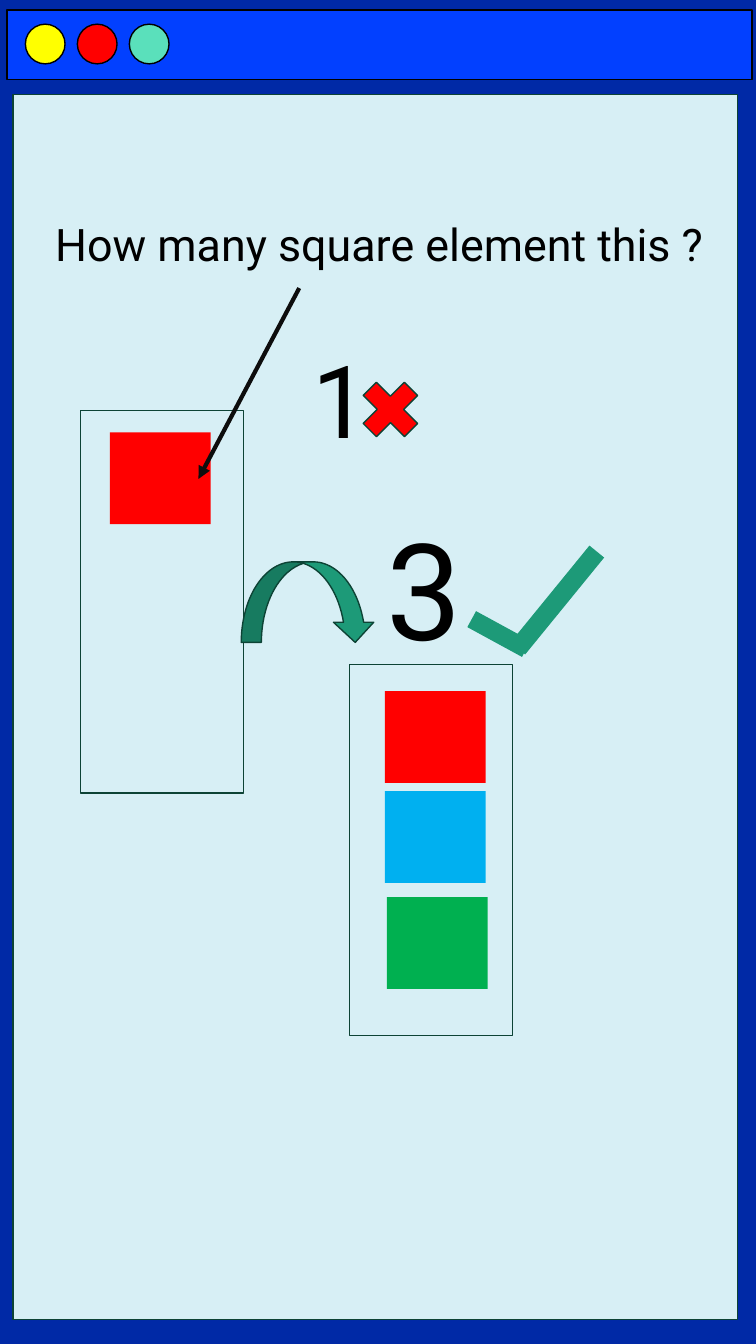
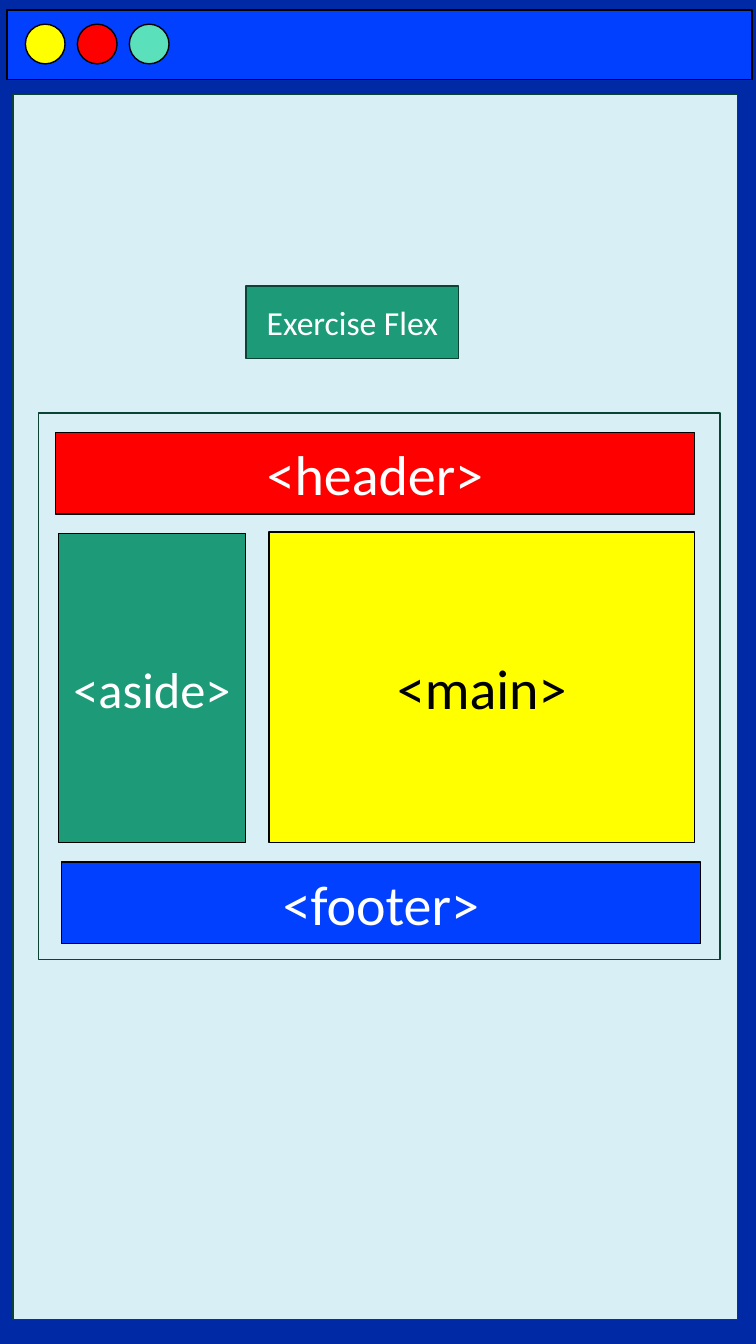
import pptx
import pptx.util
import pptx.dml.color
import pptx.enum.shapes
import pptx.enum.text
import pptx.oxml
import pptx.oxml.ns

Cm = pptx.util.Cm
Pt = pptx.util.Pt
KIND = pptx.enum.shapes.MSO_SHAPE
RED, YELLOW, BLUE, GREEN = "FF0000", "FFFF00", "0240FF", "1D9A78"
BLACK, WHITE, EDGE = "000000", "FFFFFF", "0D4335"


def tint(code):
    return pptx.dml.color.RGBColor.from_string(code)


class Deck:
    back, panel, mint = "0029A6", "D7EFF5", "5AE0BB"

    def __init__(self):
        self.file = pptx.Presentation()
        self.file.slide_width = Cm(19.05)
        self.file.slide_height = Cm(33.87)
        self.slide = None

    def page(self):
        self.slide = self.file.slides.add_slide(self.file.slide_layouts[6])
        fill = self.slide.background.fill
        fill.solid()
        fill.fore_color.rgb = tint(self.back)
        self.shape(0.18, 0.25, 18.77, 1.75, BLUE, BLACK)
        for i, fill in enumerate((YELLOW, RED, self.mint)):
            self.shape(0.64 + 1.31 * i, 0.61, 1, 1, fill, BLACK, KIND.OVAL)
        self.shape(0.33, 2.39, 18.26, 30.86, self.panel, EDGE)

    def shape(self, x, y, w, h, fill=None, line=None, kind=KIND.RECTANGLE, turn=0):
        item = self.slide.shapes.add_shape(kind, Cm(x), Cm(y), Cm(w), Cm(h))
        item.shadow.inherit = False
        item.rotation = turn
        if fill:
            item.fill.solid()
            item.fill.fore_color.rgb = tint(fill)
        else:
            item.fill.background()
        if line:
            item.line.color.rgb = tint(line)
            item.line.width = Pt(1)
        else:
            item.line.fill.background()
        return item

    def letter(self, item, text, size, color, font, center=True):
        frame = item.text_frame
        frame.text = text
        frame.word_wrap = True
        frame.vertical_anchor = pptx.enum.text.MSO_ANCHOR.MIDDLE
        align = pptx.enum.text.PP_ALIGN
        for para in frame.paragraphs:
            para.alignment = align.CENTER if center else align.LEFT
            for run in para.runs:
                run.font.size = Pt(size)
                run.font.name = font
                run.font.color.rgb = tint(color)

    def label(self, x, y, w, h, text, size, center=True):
        item = self.slide.shapes.add_textbox(Cm(x), Cm(y), Cm(w), Cm(h))
        self.letter(item, text, size, BLACK, "Roboto", center)

    def block(self, x, y, w, h, text, fill, size=40, color=WHITE, line=BLACK):
        item = self.shape(x, y, w, h, fill, line)
        self.letter(item, text, size, color, "Calibri")

    def arrow(self, x1, y1, x2, y2, color, width):
        item = self.slide.shapes.add_connector(
            pptx.enum.shapes.MSO_CONNECTOR.STRAIGHT, Cm(x1), Cm(y1), Cm(x2), Cm(y2))
        item.line.color.rgb = tint(color)
        item.line.width = Pt(width)
        space = pptx.oxml.ns.nsdecls("a")
        head = pptx.oxml.parse_xml(f'<a:tailEnd {space} type="triangle"/>')
        props = item._element.spPr
        props.find(pptx.oxml.ns.qn("a:ln")).append(head)
        props.append(pptx.oxml.parse_xml(f"<a:effectLst {space}/>"))


def count(deck):
    deck.page()
    square = (2.54, 2.31)
    deck.shape(2.03, 10.34, 4.11, 9.65, line=EDGE)
    deck.shape(2.77, 10.9, *square, RED)
    deck.label(1.14, 5.34, 17.4, 1.6, "How many square element this ?", 32, False)
    deck.arrow(7.54, 7.26, 5, 12.07, "0D0D0D", 3)
    deck.shape(8.81, 16.74, 4.11, 9.35, line=EDGE)
    for x, y, fill in ((9.7, 17.42, RED), (9.7, 19.94, "00B0F0"), (9.75, 22.61, "00B050")):
        deck.shape(x, y, *square, fill)
    deck.shape(6.08, 14.16, 3.38, 2.03, GREEN, EDGE, KIND.CURVED_DOWN_ARROW)
    deck.label(7.62, 8.76, 1.32, 2.54, "1", 72)
    deck.shape(8.84, 9.32, 2, 2, RED, EDGE, KIND.MATH_MULTIPLY)
    deck.shape(11.79, 15.75, 1.57, 0.46, GREEN, turn=28.6)
    deck.shape(12.47, 14.88, 3.15, 0.48, GREEN, turn=309.2)
    deck.label(9.45, 13.13, 2.46, 3.33, "3", 96)


def flex(deck):
    deck.page()
    deck.shape(0.97, 10.41, 17.17, 13.77, line=EDGE)
    deck.block(1.4, 10.9, 16.1, 2.06, "<header>", RED)
    deck.block(1.55, 21.72, 16.1, 2.06, "<footer>", BLUE)
    deck.block(6.78, 13.41, 10.72, 7.82, "<main>", YELLOW, color=BLACK)
    deck.block(1.47, 13.44, 4.72, 7.8, "<aside>", GREEN, 36)
    deck.block(6.2, 7.21, 5.36, 1.83, "Exercise Flex", GREEN, 24, line=EDGE)


def main():
    deck = Deck()
    count(deck)
    flex(deck)
    deck.file.save("out.pptx")


if __name__ == "__main__":
    main()
